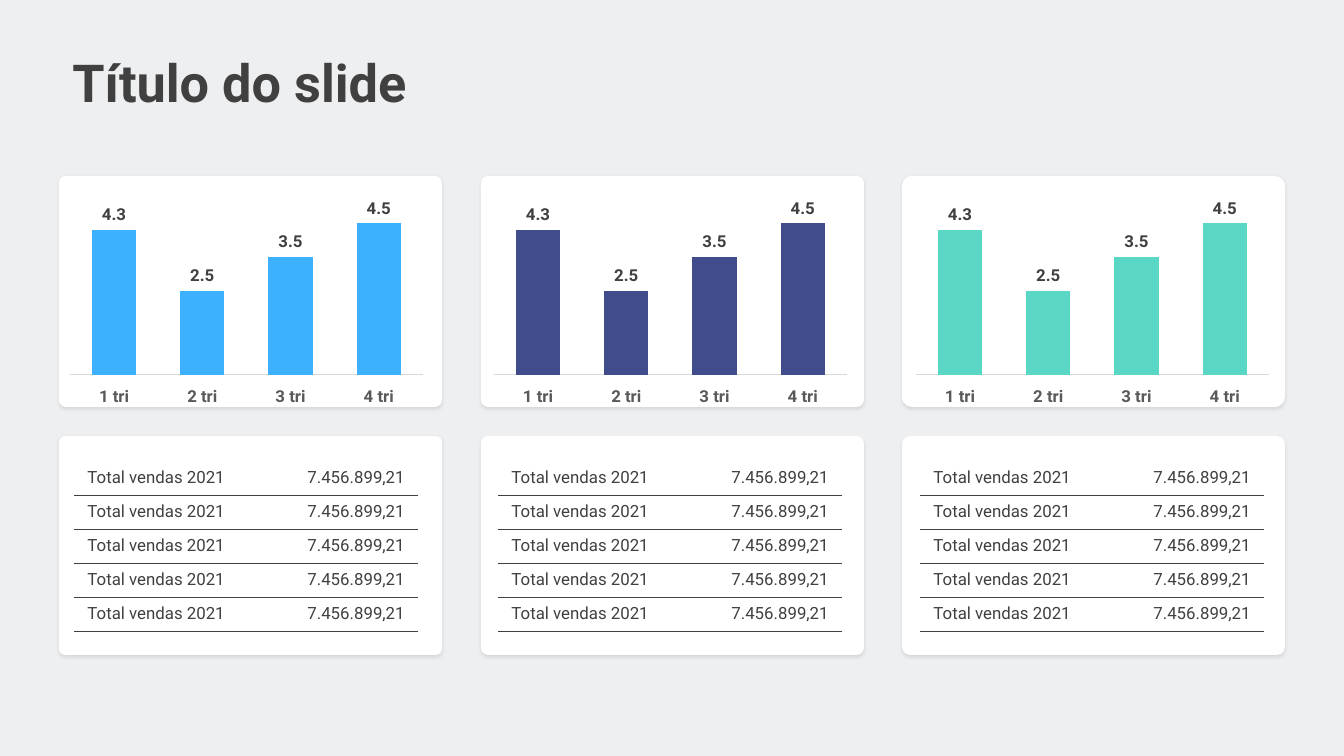
from dataclasses import dataclass

from lxml import etree
from pptx import Presentation
from pptx.chart.data import CategoryChartData
from pptx.dml.color import RGBColor
from pptx.enum.chart import XL_CHART_TYPE, XL_LABEL_POSITION, XL_TICK_LABEL_POSITION, XL_TICK_MARK
from pptx.enum.shapes import MSO_SHAPE
from pptx.enum.text import MSO_ANCHOR, MSO_AUTO_SIZE, PP_ALIGN
from pptx.oxml import parse_xml
from pptx.oxml.ns import nsdecls, qn
from pptx.util import Emu, Pt

ROUNDED = MSO_SHAPE.ROUNDED_RECTANGLE
COLUMNS = XL_CHART_TYPE.COLUMN_CLUSTERED
OUTSIDE_END = XL_LABEL_POSITION.OUTSIDE_END
LABELS_LOW = XL_TICK_LABEL_POSITION.LOW
NO_TICK = XL_TICK_MARK.NONE
TOP, MIDDLE = MSO_ANCHOR.TOP, MSO_ANCHOR.MIDDLE
LEFT, RIGHT = PP_ALIGN.LEFT, PP_ALIGN.RIGHT
GROW = MSO_AUTO_SIZE.SHAPE_TO_FIT_TEXT

EMU_PER_PX = 914400 / 134.4


@dataclass(frozen=True)
class Theme:
    font: str = "Roboto"
    page: str = "EEEFF1"
    card: str = "FFFFFF"
    shadow: str = "000104"
    ink: str = "404040"
    axis_text: str = "595959"
    axis_line: str = "D9D9D9"
    title_size: int = 28
    body_size: int = 9


THEME = Theme()

# Card left, content left, bar colour, corner of upper card, corner of lower card
PANELS = [
    (59, 62, "3DB1FE", 0.03, 0.028),
    (481, 486, "414C8C", 0.03, 0.032),
    (902, 908, "5AD7C4", 0.043, 0.037),
]
CARD_WIDTH = 383
CHART_CARD = (176, 231)
TABLE_CARD = (436, 219)
CHART_BOX = (199, 368, 208)
PLOT_BOX = {"x": 8, "y": 7, "w": 353, "h": 172}
TABLE_INDENT, TABLE_TOP = 12, 461
COLUMN_WIDTHS = (204, 140)
ROW_HEIGHT = 34

QUARTERS = ["1 tri", "2 tri", "3 tri", "4 tri"]
SALES = (4.3, 2.5, 3.5, 4.5)
ROWS = [("Total vendas 2021", "7.456.899,21")] * 5


def px(length):
    return Emu(round(length * EMU_PER_PX))


def rgb(value):
    return RGBColor.from_string(value)


def style_font(font, size=THEME.body_size, color=THEME.ink, bold=False):
    font.name = THEME.font
    font.size = Pt(size)
    font.bold = bold
    font.color.rgb = rgb(color)


def write(frame, text, align=LEFT, **font_format):
    para = frame.paragraphs[0]
    para.alignment = align
    span = para.add_run()
    span.text = text
    style_font(span.font, **font_format)


def add_title(page, text, left, top, width, height):
    box = page.shapes.title
    box.left, box.top, box.width, box.height = map(px, (left, top, width, height))
    frame = box.text_frame
    frame.word_wrap = True
    frame.auto_size = GROW
    frame.vertical_anchor = TOP
    write(frame, text, size=THEME.title_size, bold=True)


def add_card(page, left, top, width, height, corner):
    card = page.shapes.add_shape(ROUNDED, px(left), px(top), px(width), px(height))
    card.adjustments[0] = corner
    card.fill.solid()
    card.fill.fore_color.rgb = rgb(THEME.card)
    card.line.fill.background()
    card.shadow.inherit = False
    # Soft shadow straight below the card
    effects = card._element.spPr.find(qn("a:effectLst"))
    effects.append(parse_xml(
        f'<a:outerShdw {nsdecls("a")} blurRad="{Pt(2)}" dist="{Pt(1)}" dir="5400000" '
        f'algn="t" rotWithShape="0"><a:srgbClr val="{THEME.shadow}">'
        '<a:alpha val="10000"/></a:srgbClr></a:outerShdw>'))


def fix_plot_area(chart, width, height):
    plot_area = chart._chartSpace.chart.plotArea
    for old in plot_area.findall(qn("c:layout")):
        plot_area.remove(old)
    layout = etree.Element(qn("c:layout"))
    manual = etree.SubElement(layout, qn("c:manualLayout"))
    settings = {"layoutTarget": "inner", "xMode": "edge", "yMode": "edge"}
    for key, length in PLOT_BOX.items():
        settings[key] = f"{length / (width if key in 'xw' else height):.4f}"
    for tag, value in settings.items():
        etree.SubElement(manual, qn(f"c:{tag}")).set("val", value)
    plot_area.insert(0, layout)


def add_column_chart(page, left, top, width, height, color):
    data = CategoryChartData()
    data.categories = QUARTERS
    data.add_series("Series 1", SALES)
    chart = page.shapes.add_chart(
        COLUMNS, px(left), px(top), px(width), px(height), data).chart
    chart.has_legend = False
    chart.has_title = False
    style_font(chart.font, color="000000", bold=True)
    fix_plot_area(chart, width, height)

    # Axes
    values = chart.value_axis
    values.minimum_scale, values.maximum_scale = 0, 5
    values.has_major_gridlines = False
    values.visible = False
    quarters = chart.category_axis
    quarters.major_tick_mark = quarters.minor_tick_mark = NO_TICK
    quarters.tick_label_position = LABELS_LOW
    quarters.format.line.color.rgb = rgb(THEME.axis_line)
    quarters.format.line.width = Pt(0.75)
    style_font(quarters.tick_labels.font, color=THEME.axis_text, bold=True)

    # Bars and their labels
    plot = chart.plots[0]
    plot.gap_width, plot.overlap = 100, -27
    plot.vary_by_categories = False
    bars = plot.series[0]
    bars.format.fill.solid()
    bars.format.fill.fore_color.rgb = rgb(color)
    labels = bars.data_labels
    labels.show_value = True
    labels.position = OUTSIDE_END
    style_font(labels.font, bold=True)


def set_borders(cell, ruled_sides):
    properties = cell._tc.get_or_add_tcPr()
    for index, side in enumerate("LRTB"):
        paint = (f'<a:solidFill><a:srgbClr val="{THEME.ink}"/></a:solidFill>'
                 if side in ruled_sides else "<a:noFill/>")
        properties.insert(index, parse_xml(
            f'<a:ln{side} {nsdecls("a")} w="{Pt(0.25)}">{paint}</a:ln{side}>'))


def add_sales_table(page, left, top):
    table = page.shapes.add_table(
        len(ROWS), len(COLUMN_WIDTHS), px(left), px(top),
        px(sum(COLUMN_WIDTHS)), px(ROW_HEIGHT * len(ROWS))).table
    table.first_row = table.horz_banding = False
    for column, width in zip(table.columns, COLUMN_WIDTHS):
        column.width = px(width)
    for row_index, texts in enumerate(ROWS):
        table.rows[row_index].height = px(ROW_HEIGHT)
        for column_index, (text, align) in enumerate(zip(texts, (LEFT, RIGHT))):
            cell = table.cell(row_index, column_index)
            cell.fill.background()
            cell.vertical_anchor = MIDDLE
            write(cell.text_frame, text, align)
            set_borders(cell, "TB" if row_index else "B")


def add_panel(page, card_left, content_left, color, chart_corner, table_corner):
    for (top, height), corner in ((CHART_CARD, chart_corner), (TABLE_CARD, table_corner)):
        add_card(page, card_left, top, CARD_WIDTH, height, corner)
    add_sales_table(page, content_left + TABLE_INDENT, TABLE_TOP)
    add_column_chart(page, content_left, *CHART_BOX, color)


def main():
    deck = Presentation()
    deck.slide_width, deck.slide_height = px(1344), px(756)
    page = deck.slides.add_slide(deck.slide_layouts[5])
    page.background.fill.solid()
    page.background.fill.fore_color.rgb = rgb(THEME.page)
    add_title(page, "Título do slide", 59, 43, 594, 77)
    for panel in PANELS:
        add_panel(page, *panel)
    deck.save("out.pptx")


if __name__ == "__main__":
    main()
